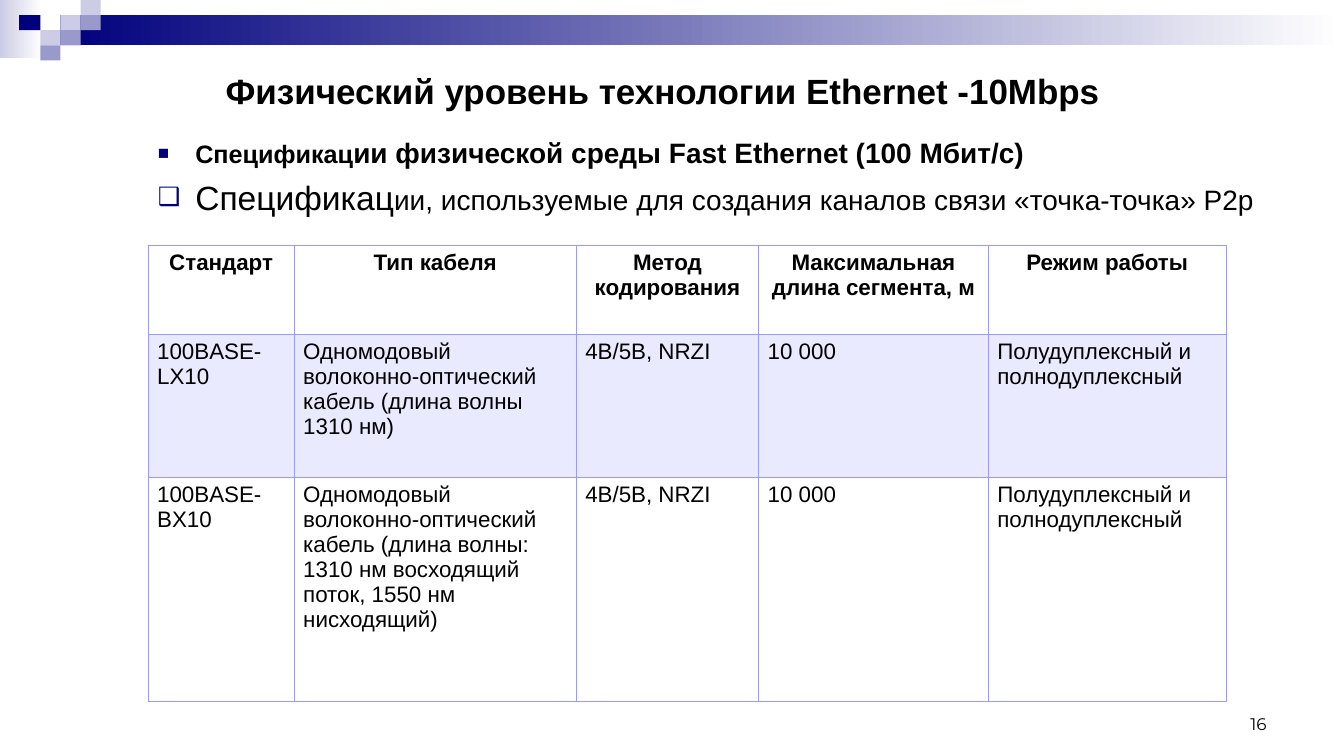
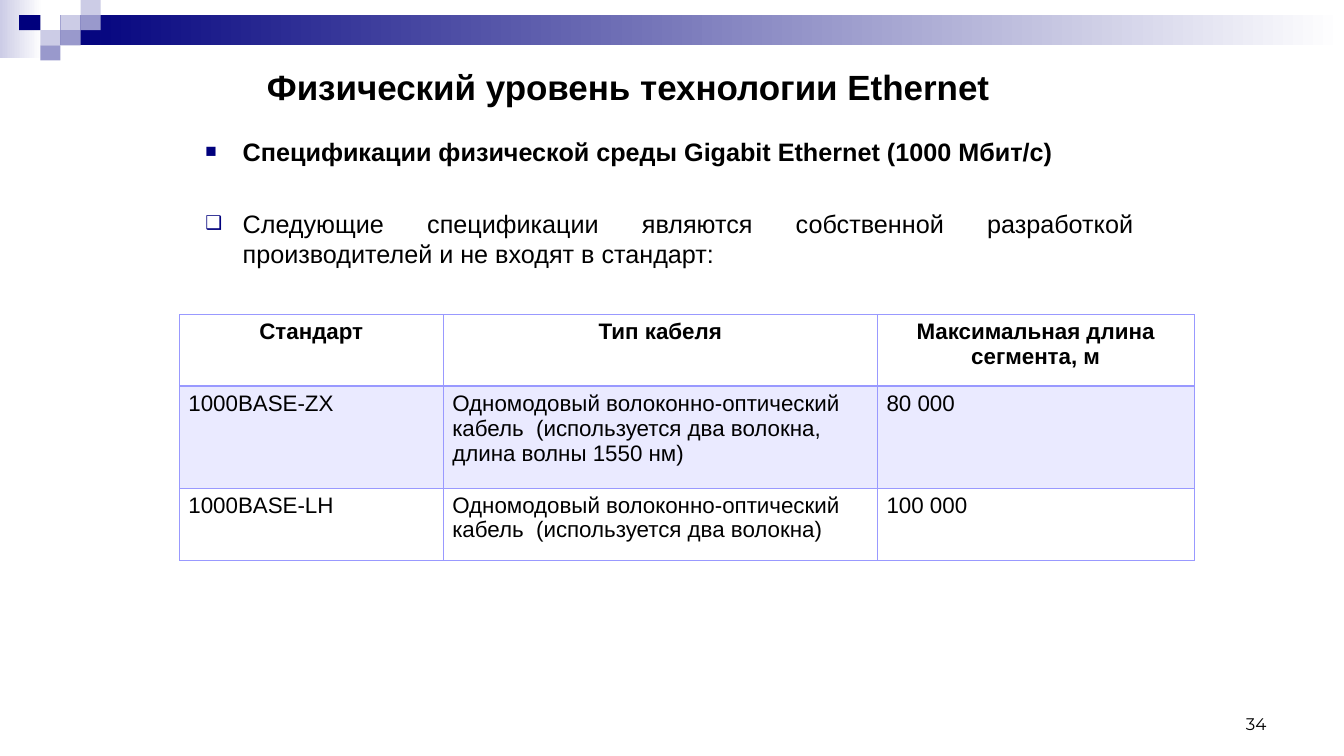
from dataclasses import dataclass
from typing import Any, NamedTuple

from lxml import etree
from pptx import Presentation, util as u
from pptx.dml.color import RGBColor
from pptx.enum import shapes, text
from pptx.oxml.ns import qn


@dataclass(frozen=True)
class Theme:
    navy: str = "00007D"
    mid: str = "9999CC"
    pale: str = "CCCCE6"
    white: str = "FFFFFF"
    ink: str = "000000"
    grid: str = "9999FF"
    font: str = "Arial"
    number_font: str = "Montserrat"
    title: float = 25
    large: float = 24
    lead: float = 20
    body: float = 18
    cell: float = 16
    number: float = 12
    thin: float = 0.45
    thick: float = 0.96


T = Theme()


class Box(NamedTuple):
    left: float
    top: float
    width: float
    height: float


class Block(NamedTuple):
    box: Box
    color: str
    fade_to: str | None = None


class Run(NamedTuple):
    text: str
    size: float
    bold: bool = False


class Bullet(NamedTuple):
    mark: str
    runs: list[Run]
    before: float = 0


class Grid(NamedTuple):
    left: float
    top: float
    cols: list[float]
    rows: list[float]
    cells: list[list[str]]


class Page(NamedTuple):
    title: str
    title_box: Box
    bullets: list[Bullet]
    bullet_box: Box
    grid: Grid
    number: str


BAND = [
    Block(Box(0, 0, 0.42, 0.58), T.pale, T.white),
    Block(Box(0.6, 0.15, 12.73, 0.3), T.navy, T.white),
    Block(Box(0.19, 0.15, 0.21, 0.15), T.navy),
] + [
    Block(Box(0.2 * col, 0.15 * row, 0.2, 0.15), color)
    for col, row, color in [
        (3, 1, T.pale), (4, 0, T.pale), (4, 1, T.mid),
        (2, 2, T.pale), (3, 2, T.mid), (2, 3, T.mid),
    ]
]
NUMBER_BOX = Box(9.56, 6.83, 3.11, 0.5)
DUPLEX = "Полудуплексный и полнодуплексный"
FIBRE = "Одномодовый волоконно-оптический кабель"

PAGES = [
    Page(
        "Физический уровень технологии Ethernet -10Mbps",
        Box(2.14, 0.62, 9.33, 0.56),
        [
            Bullet("■", [
                Run("Спецификац", T.body, True),
                Run("ии физической среды Fast Ethernet (100 Мбит/с)", T.lead, True),
            ]),
            Bullet("❑", [
                Run("Спецификац", T.large),
                Run("ии, используемые для создания каналов связи «точка-точка» P2p", T.lead),
            ], 5),
        ],
        Box(1.47, 1.3, 11.5, 1.13),
        Grid(1.47, 2.43, [1.45, 2.8, 1.81, 2.28, 2.36], [0.89, 1.42, 2.22], [
            ["Стандарт", "Тип кабеля", "Метод кодирования",
             "Максимальная длина сегмента, м", "Режим работы"],
            ["100BASE-LX10", f"{FIBRE} (длина волны 1310 нм)",
             "4B/5B, NRZI", "10 000", DUPLEX],
            ["100BASE-BX10",
             f"{FIBRE} (длина волны: 1310 нм восходящий поток, 1550 нм нисходящий)",
             "4B/5B, NRZI", "10 000", DUPLEX],
        ]),
        "16",
    ),
    Page(
        "Физический уровень технологии Ethernet",
        Box(2.55, 0.58, 8.03, 0.56),
        [
            Bullet("■", [
                Run("Спецификации физической среды Gigabit Ethernet (1000 Мбит/с)", T.body, True),
            ]),
            Bullet("❑", [
                Run("Следующие спецификации являются собственной разработкой "
                    "производителей и не входят в стандарт:", T.body),
            ], 30),
        ],
        Box(1.94, 1.3, 9.41, 1.66),
        Grid(1.78, 3.12, [2.62, 4.31, 3.14], [0.71, 1.01, 0.72], [
            ["Стандарт", "Тип кабеля", "Максимальная длина сегмента, м"],
            ["1000BASE-ZX",
             f"{FIBRE}  (используется два волокна, длина волны 1550 нм)", "80 000"],
            ["1000BASE-LH", f"{FIBRE}  (используется два волокна)", "100 000"],
        ]),
        "34",
    ),
]


def apply(obj: Any, values: dict[str, Any]) -> None:
    for name, value in values.items():
        setattr(obj, name, value)


def inches(box: Box) -> list[u.Length]:
    return [u.Inches(v) for v in box]


def add_run(p: Any, run: Run, font: str = T.font) -> None:
    r = p.add_run()
    r.text = run.text
    apply(r.font, {"name": font, "size": u.Pt(run.size), "bold": run.bold})
    r.font.color.rgb = RGBColor.from_string(T.ink)


def child(parent: Any, tag: str, **attrs: str) -> Any:
    return etree.SubElement(parent, qn(tag), attrs)


def draw_band(s: Any, layout: Any) -> None:
    for i, block in enumerate(BAND):
        sp = s.shapes.add_shape(shapes.MSO_SHAPE.RECTANGLE, *inches(block.box))
        sp.shadow.inherit = False
        sp.line.fill.background()
        if block.fade_to:
            sp.fill.gradient()
            sp.fill.gradient_angle = 0
            for stop, color in zip(sp.fill.gradient_stops, (block.color, block.fade_to)):
                stop.color.rgb = RGBColor.from_string(color)
        else:
            sp.fill.solid()
            sp.fill.fore_color.rgb = RGBColor.from_string(block.color)
        sp.element.nvSpPr.cNvPr.set("id", str(100 + i))
        layout.shapes.element.append(sp.element)


def set_title(s: Any, page: Page) -> None:
    sp = s.shapes.title
    apply(sp, dict(zip(("left", "top", "width", "height"), inches(page.title_box))))
    tf = sp.text_frame
    apply(tf, {
        "word_wrap": True,
        "auto_size": text.MSO_AUTO_SIZE.NONE,
        "vertical_anchor": text.MSO_ANCHOR.MIDDLE,
    })
    p = tf.paragraphs[0]
    p.alignment = text.PP_ALIGN.LEFT
    add_run(p, Run(page.title, T.title, True))


def add_bullets(s: Any, box: Box, bullets: list[Bullet]) -> None:
    tf = s.shapes.add_textbox(*inches(box)).text_frame
    tf.word_wrap = True
    for i, bullet in enumerate(bullets):
        p = tf.add_paragraph() if i else tf.paragraphs[0]
        apply(p, {"alignment": text.PP_ALIGN.JUSTIFY, "space_before": u.Pt(bullet.before)})
        ppr = p._p.get_or_add_pPr()
        indent = u.Inches(0.37)
        ppr.set("marL", str(indent))
        ppr.set("indent", str(-indent))
        child(child(ppr, "a:buClr"), "a:srgbClr", val=T.navy)
        child(ppr, "a:buSzPct", val="75000")
        child(ppr, "a:buFont", typeface=T.font)
        child(ppr, "a:buChar", char=bullet.mark)
        for run in bullet.runs:
            add_run(p, run)


def set_borders(cell: Any, row: int) -> None:
    widths = {
        "a:lnL": T.thin,
        "a:lnR": T.thin,
        "a:lnT": T.thick if row == 1 else T.thin,
        "a:lnB": T.thick if row == 0 else T.thin,
    }
    tcpr = cell._tc.get_or_add_tcPr()
    for tag, width in widths.items():
        ln = child(tcpr, tag, w=str(u.Pt(width)))
        child(child(ln, "a:solidFill"), "a:srgbClr", val=T.grid)


def set_cell(cell: Any, row: int, words: str) -> None:
    header = row == 0
    apply(cell, {
        "margin_left": u.Inches(0.09), "margin_right": u.Inches(0.09),
        "margin_top": u.Inches(0.05), "margin_bottom": u.Inches(0.05),
        "vertical_anchor": text.MSO_ANCHOR.TOP,
    })
    set_borders(cell, row)
    if row % 2:
        cell.fill.solid()
        cell.fill.fore_color.rgb = RGBColor.from_string(T.grid)
        color = cell._tc.tcPr.find(qn("a:solidFill")).find(qn("a:srgbClr"))
        child(color, "a:alpha", val="20000")
    else:
        cell.fill.background()
    p = cell.text_frame.paragraphs[0]
    p.alignment = text.PP_ALIGN.CENTER if header else text.PP_ALIGN.LEFT
    add_run(p, Run(words, T.cell, header))


def add_grid(s: Any, grid: Grid) -> None:
    box = Box(grid.left, grid.top, sum(grid.cols), sum(grid.rows))
    table = s.shapes.add_table(len(grid.rows), len(grid.cols), *inches(box)).table
    apply(table, {"first_row": False, "horz_banding": False})
    for col, width in zip(table.columns, grid.cols):
        col.width = u.Inches(width)
    for i, height in enumerate(grid.rows):
        table.rows[i].height = u.Inches(height)
        for j, words in enumerate(grid.cells[i]):
            set_cell(table.cell(i, j), i, words)


def add_number(s: Any, number: str) -> None:
    tf = s.shapes.add_textbox(*inches(NUMBER_BOX)).text_frame
    apply(tf, {"word_wrap": True, "vertical_anchor": text.MSO_ANCHOR.BOTTOM})
    p = tf.paragraphs[0]
    p.alignment = text.PP_ALIGN.RIGHT
    add_run(p, Run(number, T.number), T.number_font)


def main() -> None:
    prs = Presentation()
    apply(prs, {"slide_width": u.Inches(13.34), "slide_height": u.Inches(7.5)})
    layout = prs.slide_layouts.get_by_name("Title Only")
    for i, page in enumerate(PAGES):
        s = prs.slides.add_slide(layout)
        if i == 0:
            draw_band(s, layout)
        set_title(s, page)
        add_bullets(s, page.bullet_box, page.bullets)
        add_grid(s, page.grid)
        add_number(s, page.number)
    prs.save("out.pptx")


if __name__ == "__main__":
    main()
